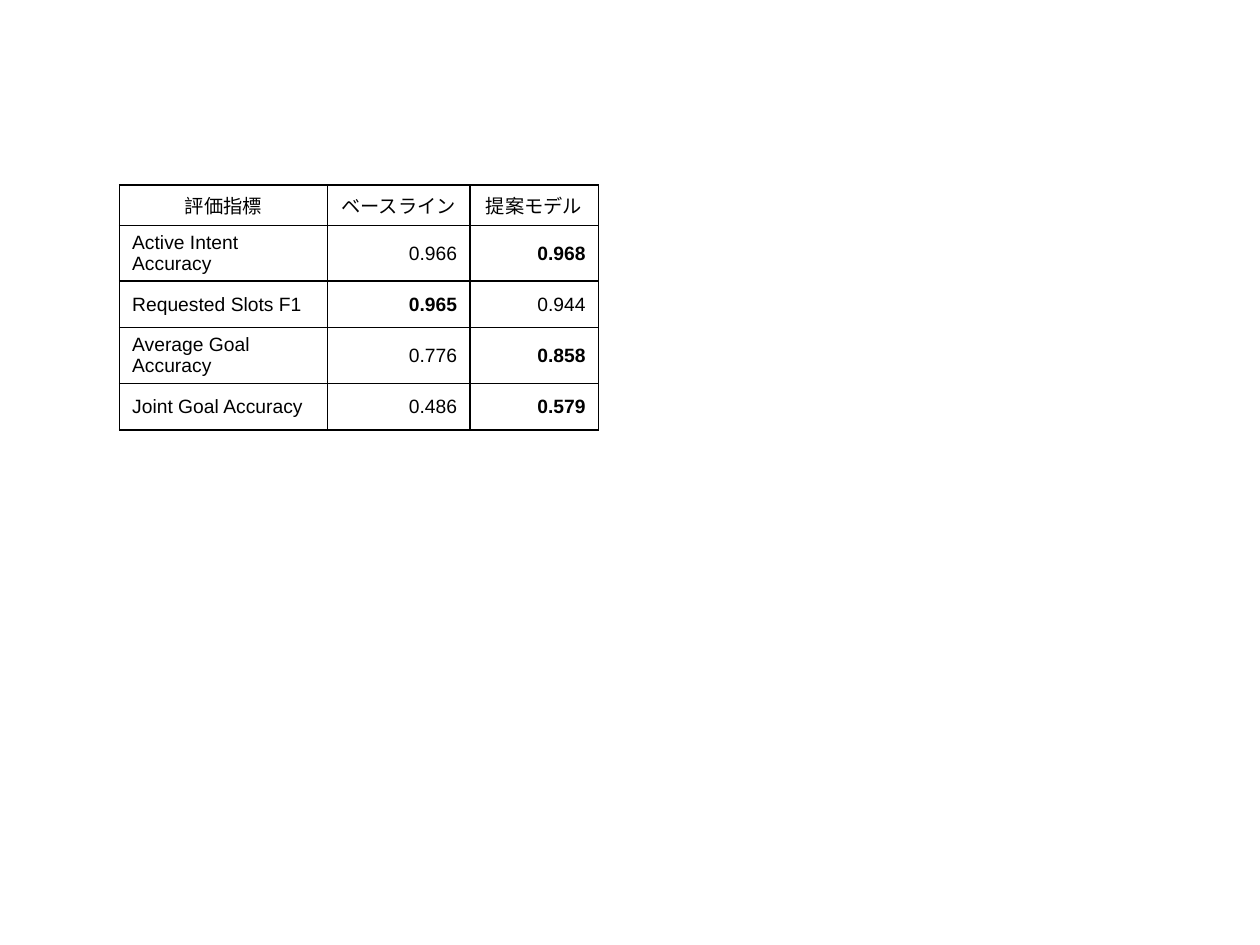
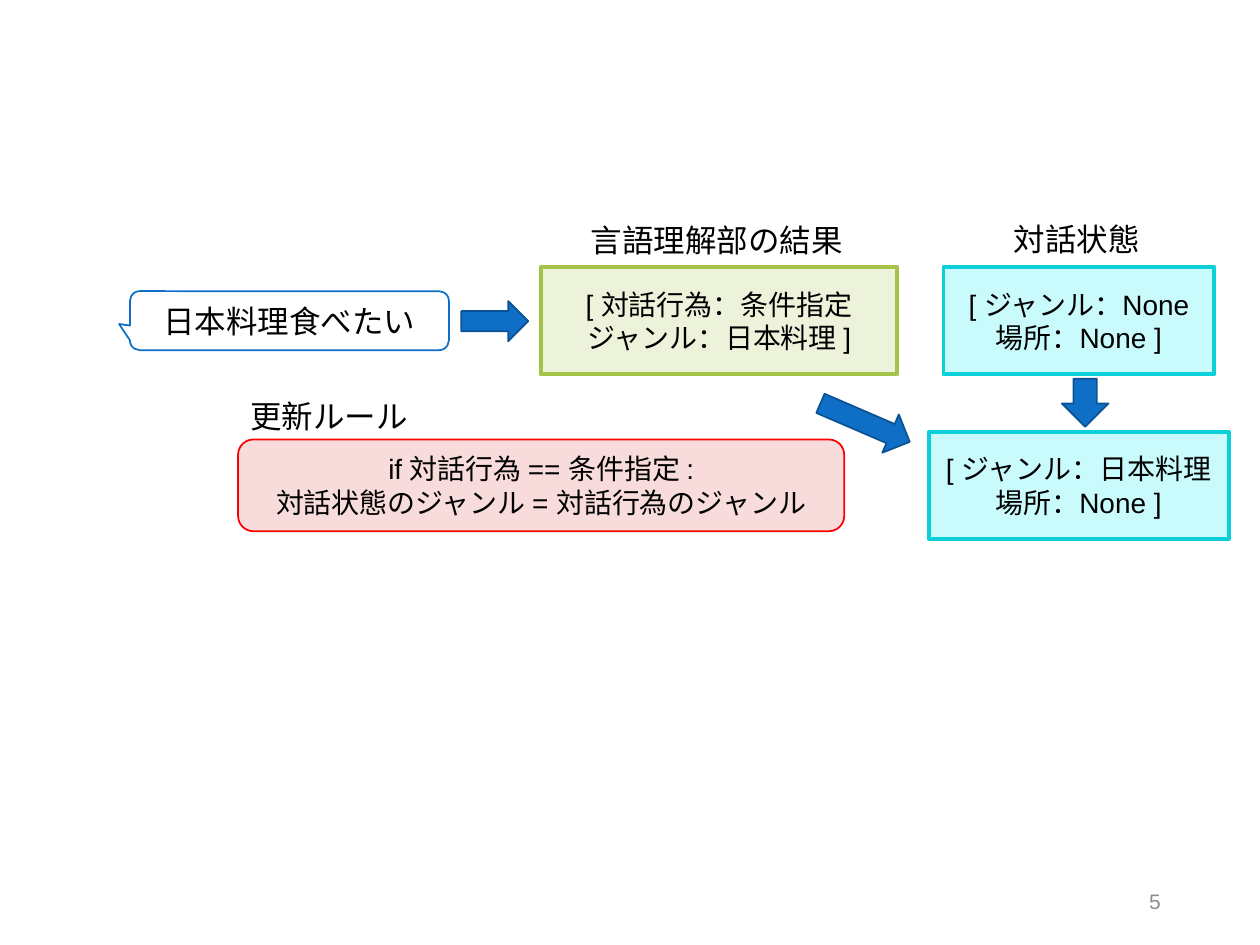
from dataclasses import dataclass

from lxml import etree
from pptx import Presentation
from pptx.dml.color import RGBColor
from pptx.enum import shapes, text
from pptx.oxml import ns
from pptx.util import Cm, Pt

KIND = shapes.MSO_SHAPE
ALIGN = text.PP_ALIGN
MID = text.MSO_ANCHOR.MIDDLE


@dataclass(frozen=True)
class Theme:
    font: str = "Arial"
    ink: str = "000000"
    gray: str = "8C8C8C"
    # fill, line, line width
    arrow: tuple = ("0F6FC6", "0B5292", 1)
    speech: tuple = ("FFFFFF", "0F6FC6", 1)
    result: tuple = ("EDF3DB", "A5C249", 2.25)
    state: tuple = ("C9FAFC", "0BD0D9", 2.25)
    rule: tuple = ("F8DCDC", "FF0000", 1)
    # type sizes
    cell: float = 11
    page: float = 12
    body: float = 16
    label: float = 18


THEME = Theme()


def write(frame, words, size, align, color=THEME.ink, bold=False):
    frame.text = words
    for para in frame.paragraphs:
        para.alignment = align
        for run in para.runs:
            font = run.font
            font.name, font.size, font.bold = THEME.font, Pt(size), bold
            font.color.rgb = RGBColor.from_string(color)


def border(cell):
    props = cell._tc.get_or_add_tcPr()
    for spot, side in enumerate(("lnL", "lnR", "lnT", "lnB")):
        line = etree.Element(ns.qn("a:" + side), w=str(Pt(1)))
        fill = etree.SubElement(line, ns.qn("a:solidFill"))
        etree.SubElement(fill, ns.qn("a:srgbClr"), val=THEME.ink)
        props.insert(spot, line)


def place(box, left, top, wide, high):
    """Turn a spot inside the box, in cm, into slide lengths."""
    return Cm(box[0] + left), Cm(box[1] + top), Cm(wide), Cm(high)


def block(group, kind, spot, style, words="", size=THEME.body, turn=0):
    shape = group.shapes.add_shape(kind, *spot)
    fill, line, width = style
    shape.shadow.inherit = False
    shape.fill.solid()
    shape.fill.fore_color.rgb = RGBColor.from_string(fill)
    shape.line.color.rgb = RGBColor.from_string(line)
    shape.line.width = Pt(width)
    shape.rotation = turn
    if words:
        shape.text_frame.vertical_anchor = MID
        write(shape.text_frame, words, size, ALIGN.CENTER)
    return shape


def label(group, spot, words):
    frame = group.shapes.add_textbox(*spot).text_frame
    frame.word_wrap = False
    frame.auto_size = text.MSO_AUTO_SIZE.SHAPE_TO_FIT_TEXT
    write(frame, words, THEME.label, ALIGN.LEFT)


def scores(slide, box):
    """Table of metrics; the better score of each row is bold."""
    head = ("評価指標", "ベースライン", "提案モデル")
    rows = (
        ("Active Intent Accuracy", 0.966, 0.968),
        ("Requested Slots F1", 0.965, 0.944),
        ("Average Goal Accuracy", 0.776, 0.858),
        ("Joint Goal Accuracy", 0.486, 0.579),
    )
    widths, heights = (4.19, 2.87, 2.59), (0.66,) + (0.94,) * len(rows)
    spot = place(box, 0, 0, sum(widths), sum(heights))
    table = slide.shapes.add_table(len(heights), len(widths), *spot).table
    table.first_row = table.horz_banding = False
    for col, wide in zip(table.columns, widths):
        col.width = Cm(wide)
    for row, high in zip(table.rows, heights):
        row.height = Cm(high)

    for r, row in enumerate((head,) + rows):
        for c, value in enumerate(row):
            cell = table.cell(r, c)
            cell.fill.background()
            border(cell)
            cell.vertical_anchor = MID
            if r == 0:
                look = str(value), ALIGN.CENTER, False
            elif c == 0:
                look = value, ALIGN.LEFT, False
            else:
                look = f"{value:.3f}", ALIGN.RIGHT, value == max(row[1:])
            words, align, bold = look
            write(cell.text_frame, words, THEME.cell, align, bold=bold)


def flow(slide, box):
    """Utterance, its analysis, and the state before and after the rule."""
    group = slide.shapes.add_group_shape()
    top, high = 1.07, 2.16

    # Utterance
    speech = block(group, KIND.ROUNDED_RECTANGULAR_CALLOUT,
                   place(box, 0, 1.55, 6.43, 1.19), THEME.speech,
                   "日本料理食べたい", THEME.label)
    for i, value in enumerate((-0.534, 0.057, 0.167)):
        speech.adjustments[i] = value

    # Analysis and states
    for spot, style, words in (
        ((8.28, top, 7.19, high), THEME.result,
         "[ 対話行為：条件指定\nジャンル：日本料理 ]"),
        ((16.1, 4.39, 6.05, high), THEME.state,
         "[ ジャンル：日本料理\n場所：None ]"),
        ((16.4, top, 5.46, high), THEME.state,
         "[ ジャンル：None\n場所：None ]"),
    ):
        block(group, KIND.RECTANGLE, place(box, *spot), style, words)

    # Arrows
    for spot, turn in (
        ((6.68, 1.75, 1.35, 0.81), 0),
        ((13.84, 3.78, 1.96, 0.84), 23.3),
        ((18.77, 3.33, 0.97, 0.94), 90),
    ):
        block(group, KIND.RIGHT_ARROW, place(box, *spot), THEME.arrow,
              turn=turn)

    # Update rule
    block(group, KIND.ROUNDED_RECTANGLE, place(box, 2.18, 4.54, 12.22, 1.85),
          THEME.rule,
          "if 対話行為 == 条件指定 :\n対話状態のジャンル = 対話行為のジャンル")

    # Labels
    for left, high, wide, words in (
        (9.04, 0.02, 5.64, "言語理解部の結果"),
        (2.18, 3.55, 3.71, "更新ルール"),
        (17.57, 0, 3.07, "対話状態"),
    ):
        label(group, place(box, left, high, wide, 1.02), words)


def footer(slide, box, number):
    frame = slide.shapes.add_textbox(*place(box, 0, 0, 5.72, 1.02)).text_frame
    frame.word_wrap = True
    frame.vertical_anchor = MID
    write(frame, str(number), THEME.page, ALIGN.RIGHT, THEME.gray)


deck = Presentation()
deck.slide_width, deck.slide_height = Cm(25.4), Cm(19.05)
blank = deck.slide_layouts[6]

scores(deck.slides.add_slide(blank), (2.41, 3.73))

update = deck.slides.add_slide(blank)
footer(update, (17.93, 17.65), 5)
flow(update, (2.62, 4.32))

deck.save("out.pptx")
